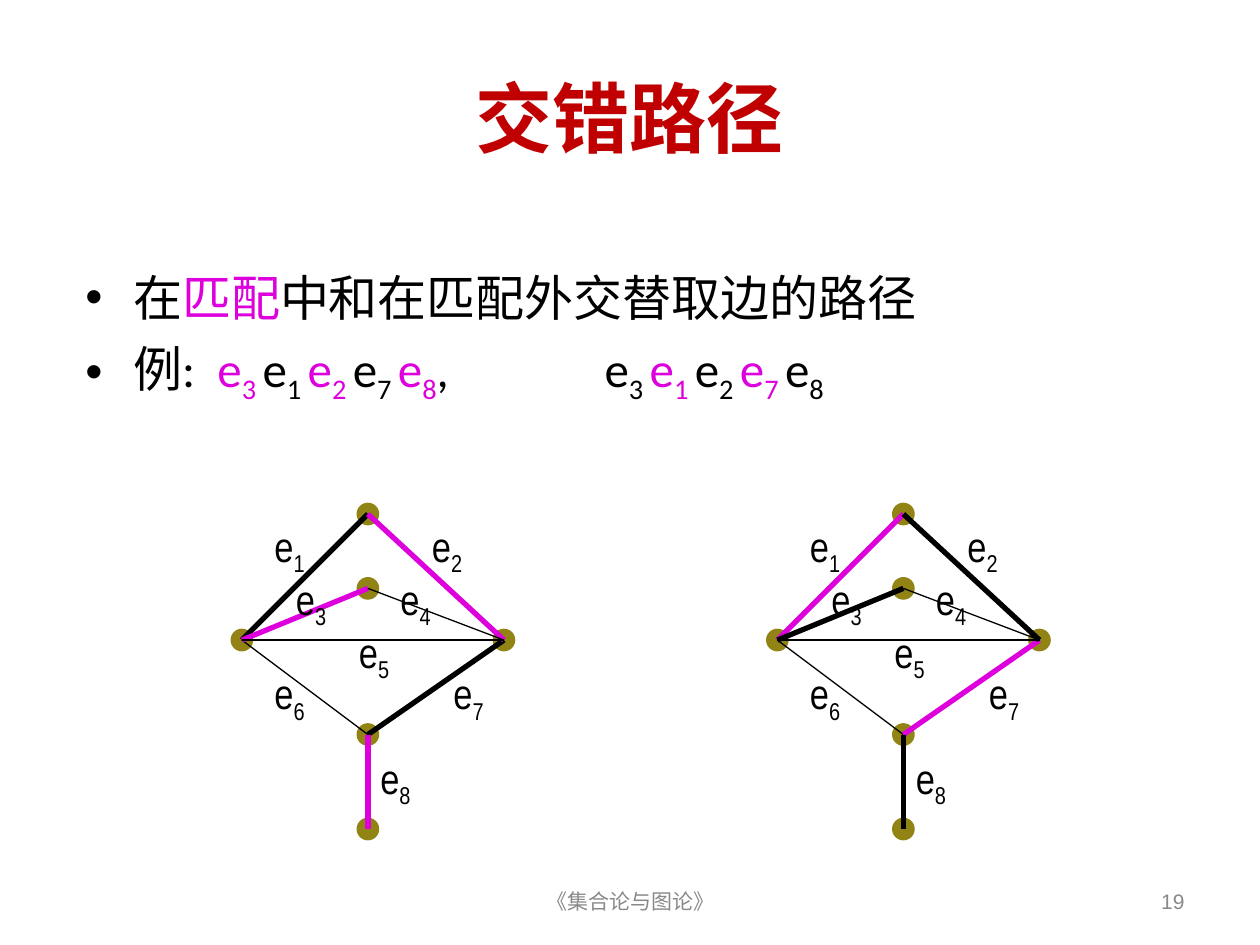
from lxml.etree import SubElement
from pptx import Presentation
from pptx.dml.color import RGBColor
from pptx.enum.shapes import MSO_CONNECTOR, MSO_SHAPE
from pptx.enum.text import MSO_ANCHOR, PP_ALIGN
from pptx.oxml.ns import qn
from pptx.util import Inches, Pt

BLACK = RGBColor(0x00, 0x00, 0x00)
RED = RGBColor(0xC0, 0x00, 0x00)
MAGENTA = RGBColor(0xDD, 0x00, 0xDD)
OLIVE = RGBColor(0x91, 0x84, 0x15)
GRAY = RGBColor(0x89, 0x89, 0x89)

PATH = (3, 1, 2, 7, 8)
# Each matching goes with the horizontal offset of its graph.
GRAPHS = (((2, 3, 8), 0), ((1, 7), 4.25))
DOT_SIZE = 0.17
VERTICES = {
    "top": (2.92, 4.08),
    "inner": (2.92, 4.67),
    "lower": (2.92, 5.83),
    "left": (1.92, 5.08),
    "right": (4, 5.08),
    "bottom": (2.92, 6.58),
}
# Edge number: its two vertices and the top left corner of its label.
EDGES = {
    6: ("lower", "left", 2.08, 5.25),
    7: ("lower", "right", 3.5, 5.25),
    1: ("left", "top", 2.08, 4.08),
    2: ("right", "top", 3.33, 4.08),
    3: ("left", "inner", 2.25, 4.5),
    4: ("right", "inner", 3.08, 4.5),
    5: ("left", "right", 2.75, 4.92),
    8: ("lower", "bottom", 2.92, 5.92),
}


def add_box(shapes, left, top, width, height, anchor=MSO_ANCHOR.TOP):
    box = shapes.add_textbox(Inches(left), Inches(top), Inches(width), Inches(height))
    box.text_frame.word_wrap = True
    box.text_frame.vertical_anchor = anchor
    return box.text_frame


def set_font(para, name, size, color, bold=False):
    font = para.font
    font.name, font.size, font.bold = name, Pt(size), bold
    font.color.rgb = color


def add_line_of_text(page, text, place, align, name, size, color, bold=False):
    para = add_box(page.shapes, *place, MSO_ANCHOR.MIDDLE).paragraphs[0]
    para.text = text
    para.alignment = align
    set_font(para, name, size, color, bold)


def add_span(para, text, color=BLACK, subscript=False):
    span = para.add_run()
    span.text = text
    span.font.color.rgb = color
    if subscript:
        span.font._element.set("baseline", "-25000")


def add_edge_name(para, number, color=BLACK, gap=""):
    add_span(para, "e", color)
    add_span(para, f"{number}{gap}", color, subscript=True)


def add_path(para, matching):
    """Write the path with the edges of the matching in magenta."""
    for number in PATH:
        color = MAGENTA if number in matching else BLACK
        add_edge_name(para, number, color, "" if number == PATH[-1] else " ")


def format_bullet(para, tab=None):
    properties = para._p.get_or_add_pPr()
    properties.set("marL", str(Inches(0.38)))
    properties.set("indent", str(Inches(-0.38)))
    SubElement(properties, qn("a:buFont"), typeface="Arial")
    SubElement(properties, qn("a:buChar"), char="•")
    if tab is not None:
        stops = SubElement(properties, qn("a:tabLst"))
        SubElement(stops, qn("a:tab"), pos=str(Inches(tab)), algn="l")
    set_font(para, "Calibri", 28, BLACK)


def add_body(page):
    frame = add_box(page.shapes, 0.58, 2.07, 9, 4.09)
    definition = frame.paragraphs[0]
    format_bullet(definition)
    add_span(definition, "在")
    add_span(definition, "匹配", MAGENTA)
    add_span(definition, "中和在匹配外交替取边的路径")

    example = frame.add_paragraph()
    format_bullet(example, tab=4.12)
    example.space_before = Pt(7)
    add_span(example, "例:  ")
    add_path(example, GRAPHS[0][0])
    add_span(example, ",\t")
    add_path(example, GRAPHS[1][0])


def add_vertex(group, x, y):
    dot = group.shapes.add_shape(
        MSO_SHAPE.OVAL, Inches(x - DOT_SIZE / 2), Inches(y - DOT_SIZE / 2),
        Inches(DOT_SIZE), Inches(DOT_SIZE))
    dot.shadow.inherit = False
    dot.fill.solid()
    dot.fill.fore_color.rgb = OLIVE
    dot.line.color.rgb = OLIVE
    dot.line.width = Pt(0.75)


def add_edge(group, start, end, color, width):
    edge = group.shapes.add_connector(
        MSO_CONNECTOR.STRAIGHT, *(Inches(value) for value in (*start, *end)))
    edge.line.color.rgb = color
    edge.line.width = Pt(width)
    SubElement(edge._element.spPr, qn("a:effectLst"))


def add_graph(page, matching, offset):
    group = page.shapes.add_group_shape()
    points = {name: (x + offset, y) for name, (x, y) in VERTICES.items()}
    for point in points.values():
        add_vertex(group, *point)
    for number, (start, end, left, top) in EDGES.items():
        color = MAGENTA if number in matching else BLACK
        width = 3 if number in PATH else 0.75
        add_edge(group, points[start], points[end], color, width)
        label = add_box(group.shapes, left + offset, top, 0.5, 0.56).paragraphs[0]
        set_font(label, "Arial Narrow", 24, BLACK)
        add_edge_name(label, number)


def main():
    deck = Presentation()
    deck.slide_width, deck.slide_height = Inches(10), Inches(7.5)
    page = deck.slides.add_slide(deck.slide_layouts[6])
    add_line_of_text(page, "交错路径", (0.5, 0.3, 9, 1.25),
                     PP_ALIGN.CENTER, "Calibri", 44, RED, bold=True)
    add_body(page)
    add_line_of_text(page, "《集合论与图论》", (3.42, 6.95, 3.17, 0.4),
                     PP_ALIGN.CENTER, "Arial", 12, GRAY)
    add_line_of_text(page, "19", (7.17, 6.95, 2.33, 0.4),
                     PP_ALIGN.RIGHT, "Arial", 12, GRAY)
    for matching, offset in GRAPHS:
        add_graph(page, matching, offset)
    deck.save("out.pptx")


if __name__ == "__main__":
    main()
